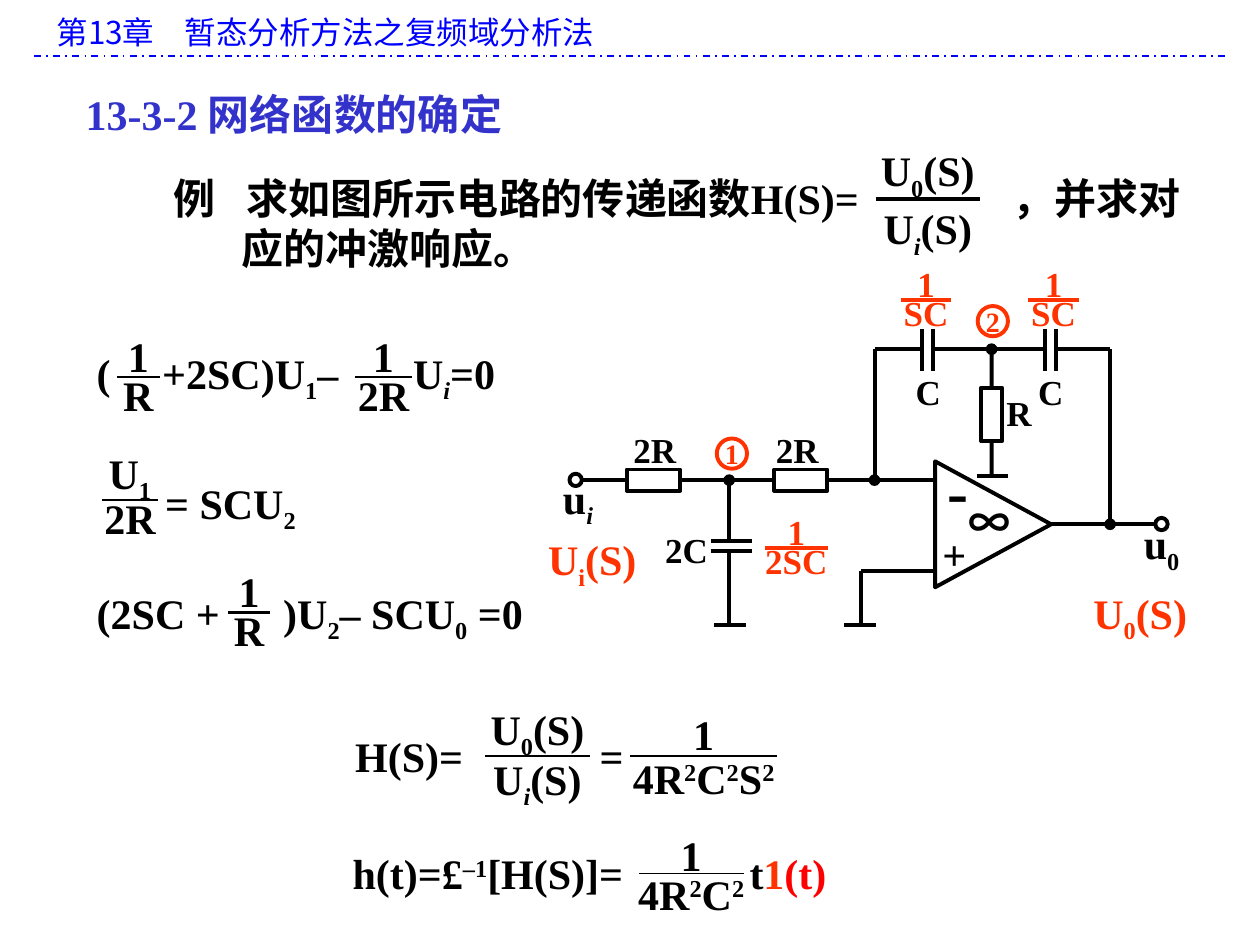
from dataclasses import dataclass

from lxml.etree import SubElement
from pptx import Presentation
from pptx.dml.color import RGBColor
from pptx.enum.dml import MSO_LINE
from pptx.enum.shapes import MSO_CONNECTOR, MSO_SHAPE
from pptx.enum.text import MSO_ANCHOR, MSO_AUTO_SIZE, PP_ALIGN
from pptx.oxml.ns import qn
from pptx.util import Cm, Pt


@dataclass(frozen=True)
class Theme:
    latin: str = "Times New Roman"
    cjk: str = "Noto Sans CJK SC"
    ink: str = "000000"
    accent: str = "FF3300"
    step: str = "FF0000"
    title: str = "3333CC"
    header: str = "0000FF"
    body: int = 24
    label: int = 20
    ring: int = 16
    head: int = 18
    sign: int = 36
    wire: float = 2.25
    bar: float = 1.5
    hairline: float = 0.75
    thin: float = 1


T = Theme()
# Marker at the start of a piece: baseline shift and italic
SCRIPTS = {"_": ("-25000", False), "~": ("-25000", True), "^": ("30000", False)}


def write(tf, text, size, color, bold=True, font=T.latin, align=PP_ALIGN.LEFT):
    """Write pieces parted by |; _ is a subscript, ~ an italic one, ^ a superscript."""
    p = tf.paragraphs[0]
    p.alignment = align
    for piece in text.split("|"):
        r = p.add_run()
        script = SCRIPTS.get(piece[0])
        r.text = piece[1:] if script else piece
        r.font.size, r.font.bold, r.font.name = Pt(size), bold, font
        r.font.color.rgb = RGBColor.from_string(color)
        rpr = r._r.get_or_add_rPr()
        SubElement(rpr, qn("a:ea")).set("typeface", T.cjk)
        if script:
            rpr.set("baseline", script[0])
            r.font.italic = script[1]
    return p


class Region:
    """An area of the slide; lengths are centimetres from its top left corner."""

    def __init__(self, s, x, y):
        self.s, self.x, self.y = s, x, y

    def at(self, x, y):
        return Cm(self.x + x), Cm(self.y + y)

    def text(self, x, y, w, text, size=T.body, color=T.ink, **style):
        height = size * 1.2 * 2.54 / 72 + 0.25
        tb = self.s.shapes.add_textbox(*self.at(x, y), Cm(w), Cm(height))
        tb.text_frame.word_wrap = True
        return write(tb.text_frame, text, size, color, **style)

    def line(self, x1, y1, x2, y2, color=T.ink, width=T.wire, start=None, end=None):
        """Draw a line; start and end are (shape, connection site) to join."""
        c = self.s.shapes.add_connector(
            MSO_CONNECTOR.STRAIGHT, *self.at(x1, y1), *self.at(x2, y2))
        c.line.color.rgb = RGBColor.from_string(color)
        c.line.width = Pt(width)
        SubElement(c._element.spPr, qn("a:effectLst"))
        if start:
            c.begin_connect(*start)
        if end:
            c.end_connect(*end)
        return c

    def shape(self, kind, x, y, w, h, color=T.ink, width=T.wire, filled=False):
        sp = self.s.shapes.add_shape(kind, *self.at(x, y), Cm(w), Cm(h))
        sp.shadow.inherit = False
        sp.line.color.rgb = RGBColor.from_string(color)
        sp.line.width = Pt(width)
        if filled:
            sp.fill.solid()
            sp.fill.fore_color.rgb = RGBColor.from_string(color)
        else:
            sp.fill.background()
        return sp

    def fraction(self, x, y, w, top, bottom, up=1.07, down=0.28,
                 size=T.body, color=T.ink, width=T.bar):
        """Centre top and bottom on the bar, which starts at x, y."""
        margin = 0.5
        for text, rise in ((top, up), (bottom, down)):
            self.text(x - margin, y - rise, w + 2 * margin, text, size, color,
                      align=PP_ALIGN.CENTER)
        self.line(x, y, x + w, y, color, width)


def header(r):
    for x, w, text in ((0, 3, "第13章"), (2.59, 15, "暂态分析方法之复频域分析法")):
        r.text(x, 0, w, text, T.head, T.header, bold=False, font=T.cjk)
    rule = r.line(-0.2, 1, 23.8, 1, T.header, T.thin)
    rule.line.dash_style = MSO_LINE.DASH_DOT


def title(s, x, y, w, h):
    sp = s.shapes.title
    sp.left, sp.top, sp.width, sp.height = Cm(x), Cm(y), Cm(w), Cm(h)
    tf = sp.text_frame
    tf.auto_size = MSO_AUTO_SIZE.NONE
    tf.vertical_anchor = MSO_ANCHOR.TOP
    write(tf, "13-3-2 |网络函数的确定", T.body, T.title)


def problem(r):
    r.text(1.14, 0.56, 1.5, "例")
    r.text(2.62, 0.56, 14, "求如图所示电路的传递函数|H(S)=")
    r.text(18.06, 0.56, 4.5, "，并求对")
    r.text(2.51, 1.57, 8, "应的冲激响应。")
    r.fraction(15.54, 1.22, 2.11, "U|_0|(S)", "U|~i|(S)", 1.22, 0.05, width=T.wire)


def node_one_equation(r):
    r.text(0, 0.35, 1, "(")
    r.fraction(0.66, 1.07, 0.86, "1", "R")
    r.text(1.32, 0.35, 4.5, "+2SC)U|_1|–")
    r.fraction(5.46, 1.07, 1.14, "1", "2R")
    r.text(6.38, 0.35, 3, "U|~i|=0")


def input_equation(r):
    r.fraction(0.15, 1.19, 1.12, "U|_1", "2R", up=1.19)
    r.text(1.17, 0.61, 4.24, "= SCU|_2")


def node_two_equation(r):
    r.text(0, 0.43, 3.2, "(2SC +")
    r.fraction(2.9, 1.07, 0.84, "1", "R")
    r.text(3.76, 0.43, 6, ")U|_2|– SCU|_0| =0")


def transfer_function(r):
    r.text(0, 0.56, 3, "H(S)=")
    r.fraction(2.87, 1.19, 2.11, "U|_0|(S)", "U|~i|(S)", 1.19, 0.18)
    r.text(4.93, 0.56, 1, "=")
    r.fraction(5.79, 1.19, 2.97, "1", "4R|^2|C|^2|S|^2", 1.09, 0.2)


def impulse_response(r):
    r.text(0, 0.38, 6.2, "h(t)=£|^–1|[H(S)]=")
    r.fraction(6.02, 1.02, 2.11, "1", "4R|^2|C|^2", 1.02, 0.23, width=T.hairline)
    p = r.text(8, 0.38, 3, "t|1|(t)")
    for run, color in zip(p.runs[1:], (T.accent, T.step)):
        run.font.color.rgb = RGBColor.from_string(color)


def circuit(r):
    main, rail, out, plus = 4.53, 1.89, 5.42, 6.36
    node1, feedback, node2, out_x = 3.9, 6.83, 9.19, 11.58
    long, short = 1.07, 0.43
    r1, r2 = (r.shape(MSO_SHAPE.RECTANGLE, x, main - short / 2, long, short)
              for x in (1.84, 4.81))
    r3 = r.shape(MSO_SHAPE.RECTANGLE, node2 - short / 2, 2.67, short, long)
    r.shape(MSO_SHAPE.ISOSCELES_TRIANGLE, 7.95, 4.25, 2.54, 2.34).rotation = 90

    # Wires
    r.line(0.93, main, 1.84, main, end=(r1, 1))
    r.line(2.91, main, 4.81, main, start=(r1, 3), end=(r2, 1))
    r.line(5.88, main, 8.05, main, start=(r2, 3))
    r.line(node2, rail, node2, 2.67, end=(r3, 0))
    r.line(node2, 3.74, node2, 4.45, start=(r3, 2))
    for x1, y1, x2, y2 in (
            (node1, main, node1, 5.75), (node1, 5.95, node1, 7.45),
            (feedback, main, feedback, rail), (feedback, rail, 7.79, rail),
            (8, rail, 10.26, rail), (10.49, rail, out_x, rail),
            (out_x, rail, out_x, out), (10.38, out, 12.49, out),
            (8.05, plus, 6.55, plus), (6.55, plus, 6.55, 7.45)):
        r.line(x1, y1, x2, y2)

    # Capacitor plates and grounds
    for x in (7.79, 8, 10.26, 10.49):
        r.line(x, 1.48, x, 2.32)
    for x, y, w in ((3.53, 5.75, 0.83), (3.53, 5.95, 0.83), (3.6, 7.45, 0.64),
                    (6.22, 7.45, 0.64), (8.89, 4.45, 0.64)):
        r.line(x, y, x + w, y)

    # Terminals, junctions and numbered nodes
    for x, y in ((0.68, main), (12.49, out)):
        r.shape(MSO_SHAPE.OVAL, x, y - 0.13, 0.25, 0.25)
    for x, y in ((node1, main), (feedback, main), (node2, rail), (out_x, out)):
        r.shape(MSO_SHAPE.OVAL, x - 0.1, y - 0.1, 0.2, 0.2, width=T.thin, filled=True)
    for x, y, number in ((3.65, 3.69, "1"), (8.91, 1.02, "2")):
        tf = r.shape(MSO_SHAPE.OVAL, x, y, 0.61, 0.61, T.accent).text_frame
        tf.margin_left = tf.margin_right = tf.margin_top = tf.margin_bottom = 0
        tf.word_wrap = False
        tf.vertical_anchor = MSO_ANCHOR.MIDDLE
        write(tf, number, T.ring, T.accent, align=PP_ALIGN.CENTER)

    # Labels
    for x, y, text in ((1.72, 3.36, "2R"), (4.59, 3.36, "2R"), (7.41, 2.19, "C"),
                       (9.88, 2.19, "C"), (9.24, 2.62, "R"), (2.36, 5.37, "2C")):
        r.text(x, y, 1.73, text, T.label)
    r.text(8.05, 3.82, 1.2, "-", T.sign)
    r.text(7.95, 5.37, 1, "+")
    r.text(8.48, 4.73, 1.52, "∞", font=T.cjk)
    r.text(0.3, 4.25, 1.96, "u|~i")
    r.text(12.01, 5.16, 1.96, "u|_0")
    r.text(0, 5.49, 2.79, "U|_i|(S)", color=T.accent)
    r.text(10.99, 6.56, 2.79, "U|_0|(S)", color=T.accent)
    for x, y, w, bottom in ((4.62, 5.9, 1.27, "2SC"), (7.36, 0.9, 1.02, "SC"),
                            (9.93, 0.9, 1.02, "SC")):
        r.fraction(x, y, w, "1", bottom, 0.89, 0.3, T.label, T.accent, T.wire)


def main():
    prs = Presentation()
    prs.slide_width, prs.slide_height = Cm(25.4), Cm(19.05)
    s = prs.slides.add_slide(prs.slide_layouts[5])
    title(s, 1.47, 1.65, 12.5, 1.27)
    for build, x, y in (
            (header, 0.89, 0.13), (problem, 2.11, 2.79), (circuit, 10.8, 5.15),
            (node_one_equation, 1.7, 6.53), (input_equation, 1.91, 8.89),
            (node_two_equation, 1.7, 11.28), (transfer_function, 6.91, 14.05),
            (impulse_response, 6.86, 16.59)):
        build(Region(s, x, y))
    prs.save("out.pptx")


if __name__ == "__main__":
    main()
